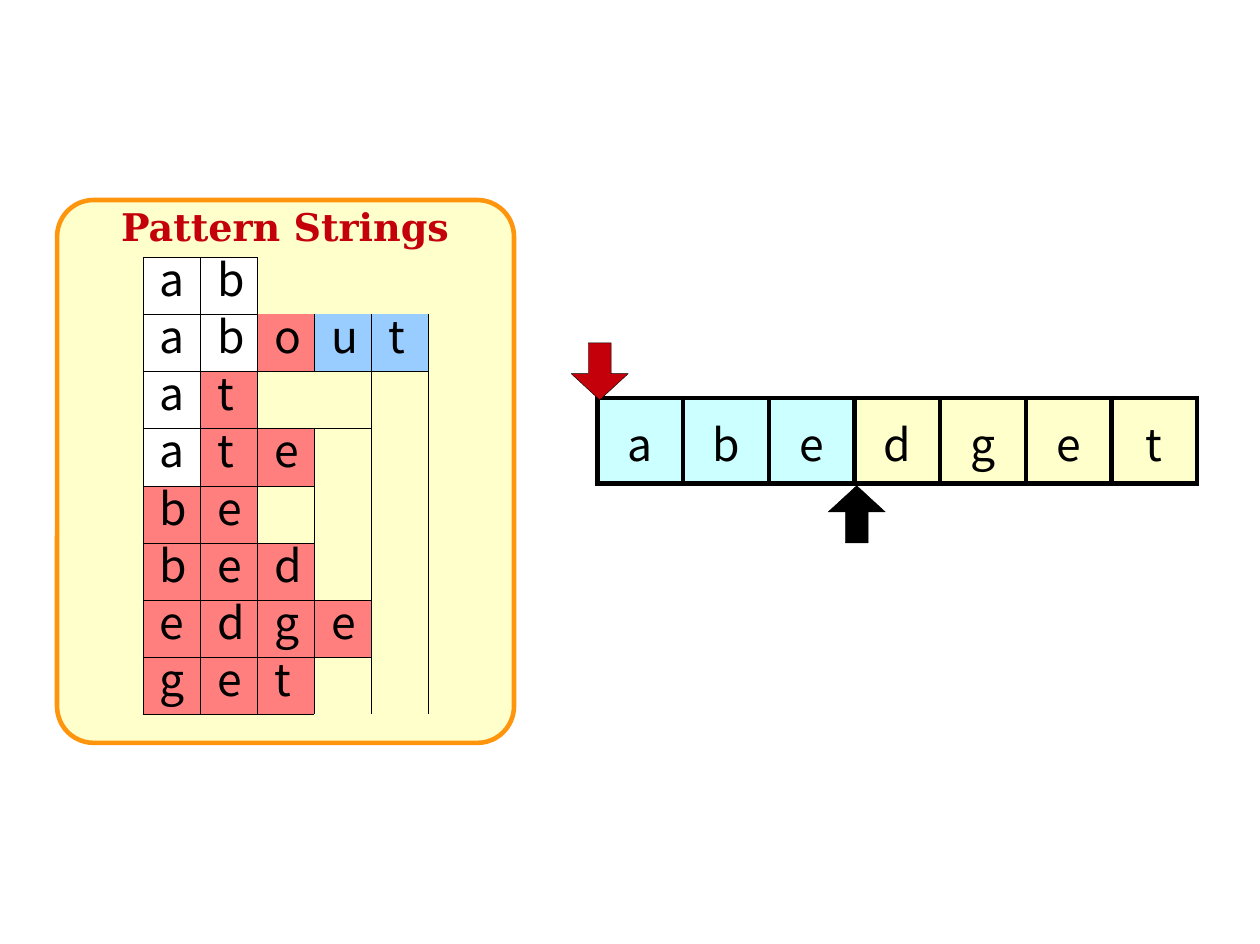
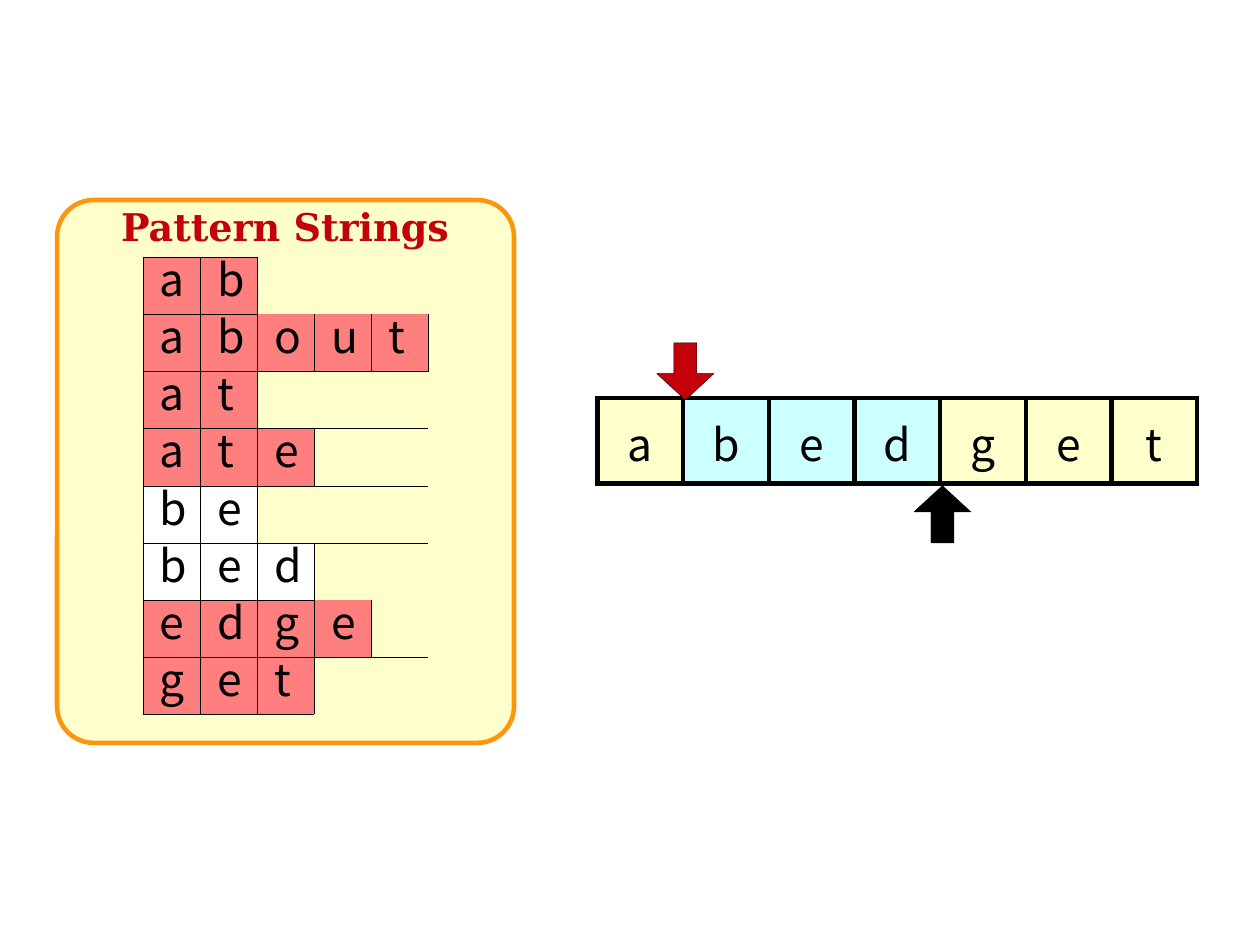
"""Build two slides that match a text against a table of pattern strings."""
from dataclasses import dataclass
from typing import NamedTuple

from lxml import etree
from pptx import Presentation
from pptx import util as u
from pptx.dml import color
from pptx.enum import shapes, text
from pptx.oxml import ns

LETTER_FONT = "Noto Sans CJK SC"
TITLE_FONT = "DejaVu Serif"
BLACK = "000000"
RED = "C4000A"
ORANGE = "FF940D"
CREAM = "FFFFCC"
CYAN = "CCFFFF"
STATE_FILLS = {"W": "FFFFFF", "R": "FF7F7F", "B": "99CCFF"}
NO_STYLE = "{2D5ABB26-0587-4C30-8999-92F81FD0307C}"
PATTERNS = ["ab", "about", "at", "ate", "be", "bed", "edge", "get"]
SEARCH_TEXT = "abedget"
STRIP_STEP = 0.75
PATTERN_STEP = 0.5


class Gap(NamedTuple):
    row: int
    column: int
    rows: int
    columns: int
    edges: str


@dataclass
class Step:
    start: int
    end: int
    states: list[str]
    gaps: list[Gap]


STEPS = [
    Step(0, 3, ["WW", "WWRBB", "WR", "WRR", "RR", "RRR", "RRRR", "RRR"], [
        Gap(0, 2, 1, 3, "L"),
        Gap(2, 2, 1, 2, "LRTB"),
        Gap(2, 4, 6, 1, "LT"),
        Gap(3, 3, 1, 1, "LR"),
        Gap(4, 2, 1, 1, "LRTB"),
        Gap(4, 3, 1, 1, "LR"),
        Gap(5, 3, 1, 1, "LRB"),
        Gap(7, 3, 1, 1, "LRT"),
    ]),
    Step(1, 4, ["RR", "RRRRR", "RR", "RRR", "WW", "WWW", "RRRR", "RRR"], [
        Gap(0, 2, 1, 3, "L"),
        Gap(2, 2, 1, 3, "LTB"),
        Gap(3, 3, 1, 2, "L"),
        Gap(4, 2, 1, 3, "LTB"),
        Gap(5, 3, 1, 2, "L"),
        Gap(6, 4, 1, 1, "L"),
        Gap(7, 3, 1, 2, "LT"),
    ]),
]


def rgb(value: str) -> color.RGBColor:
    """Turn a hex string into a colour."""
    return color.RGBColor.from_string(value)


def set_font(paragraph, name: str, size: float, value: str, bold: bool = False) -> None:
    """Set the font of a whole paragraph."""
    paragraph.font.name = name
    paragraph.font.size = u.Pt(size)
    paragraph.font.bold = bold
    paragraph.font.color.rgb = rgb(value)


def add_preset(slide, kind, left: float, top: float, width: float, height: float,
               fill: str, line: str, weight: float, adjustments: list[float]) -> None:
    """Draw a filled and outlined preset shape."""
    shape = slide.shapes.add_shape(kind, u.Inches(left), u.Inches(top),
                                   u.Inches(width), u.Inches(height))
    shape.shadow.inherit = False
    shape.fill.solid()
    shape.fill.fore_color.rgb = rgb(fill)
    shape.line.color.rgb = rgb(line)
    shape.line.width = u.Pt(weight)
    for index, value in enumerate(adjustments):
        shape.adjustments[index] = value


def add_grid(slide, rows: int, columns: int, left: float, top: float, step: float):
    """Add an unstyled table of square cells."""
    frame = slide.shapes.add_table(rows, columns, u.Inches(left), u.Inches(top),
                                   u.Inches(columns * step), u.Inches(rows * step))
    table = frame.table
    table.first_row = table.horz_banding = False
    frame._element.find(".//" + ns.qn("a:tableStyleId")).text = NO_STYLE
    for track in table.columns:
        track.width = u.Inches(step)
    for track in table.rows:
        track.height = u.Inches(step)
    for cell in table.iter_cells():
        cell.margin_left = cell.margin_right = cell.margin_top = cell.margin_bottom = 0
    return table


def set_borders(cell, edges: str, weight: float) -> None:
    """Draw black lines on the named edges of a cell."""
    properties = cell._tc.get_or_add_tcPr()
    for edge in edges:
        line = etree.SubElement(properties, ns.qn(f"a:ln{edge}"), w=str(u.Pt(weight)))
        fill = etree.SubElement(line, ns.qn("a:solidFill"))
        etree.SubElement(fill, ns.qn("a:srgbClr"), val=BLACK)


def fill_cell(cell, letter: str, fill: str, edges: str, weight: float):
    """Put a letter in a bordered cell and return its paragraph."""
    set_borders(cell, edges, weight)
    cell.fill.solid()
    cell.fill.fore_color.rgb = rgb(fill)
    paragraph = cell.text_frame.paragraphs[0]
    paragraph.text = letter
    set_font(paragraph, LETTER_FONT, 28, BLACK)
    return paragraph


def add_title(slide) -> None:
    """Add the panel heading."""
    box = slide.shapes.add_textbox(u.Inches(1.06), u.Inches(1.77), u.Inches(2.88), u.Inches(0.43))
    frame = box.text_frame
    frame.margin_left = frame.margin_right = frame.margin_bottom = 0
    frame.margin_top = u.Inches(0.01)
    frame.word_wrap = False
    paragraph = frame.paragraphs[0]
    paragraph.text = "Pattern Strings"
    set_font(paragraph, TITLE_FONT, 24, RED, bold=True)


def add_strip(slide, step: Step) -> None:
    """Add the searched text with its current window highlighted."""
    table = add_grid(slide, 1, len(SEARCH_TEXT), 5.23, 3.48, STRIP_STEP)
    for index, letter in enumerate(SEARCH_TEXT):
        cell = table.cell(0, index)
        cell.margin_top = u.Inches(0.11)
        fill = CYAN if step.start <= index < step.end else CREAM
        paragraph = fill_cell(cell, letter, fill, "LRTB", 3)
        paragraph.alignment = text.PP_ALIGN.CENTER


def add_gap(table, gap: Gap) -> set[tuple[int, int]]:
    """Draw an empty region and return the cells whose lower edge stays open."""
    last_row = gap.row + gap.rows - 1
    last_column = gap.column + gap.columns - 1
    for row in range(gap.row, last_row + 1):
        for column in range(gap.column, last_column + 1):
            outer = {"L": column == gap.column, "R": column == last_column,
                     "T": row == gap.row, "B": row == last_row}
            cell = table.cell(row, column)
            set_borders(cell, "".join(edge for edge in gap.edges if outer[edge]), 0.25)
            cell.fill.background()
    if gap.rows * gap.columns > 1:
        table.cell(gap.row, gap.column).merge(table.cell(last_row, last_column))
    if "B" in gap.edges:
        return set()
    return {(last_row, column) for column in range(gap.column, last_column + 1)}


def add_patterns(slide, step: Step) -> None:
    """Add the pattern strings coloured by match state."""
    table = add_grid(slide, len(PATTERNS), max(map(len, PATTERNS)), 1.25, 2.25, PATTERN_STEP)
    open_cells = set().union(*(add_gap(table, gap) for gap in step.gaps))
    for row, (pattern, states) in enumerate(zip(PATTERNS, step.states)):
        for column, (letter, state) in enumerate(zip(pattern, states)):
            edges = "LRB" if (row - 1, column) in open_cells else "LRTB"
            cell = table.cell(row, column)
            cell.margin_left = u.Inches(0.15)
            paragraph = fill_cell(cell, letter, STATE_FILLS[state], edges, 0.25)
            paragraph.line_spacing = u.Pt(32.8)


def add_pointers(slide, step: Step) -> None:
    """Mark the start and the end of the window."""
    kinds = shapes.MSO_SHAPE
    for kind, index, top, fill in ((kinds.DOWN_ARROW, step.start, 3, RED),
                                   (kinds.UP_ARROW, step.end, 4.25, BLACK)):
        add_preset(slide, kind, 5 + index * STRIP_STEP, top, 0.5, 0.5, fill, BLACK, 0.25,
                   [0.4, 0.46])


def main() -> None:
    """Build and save the presentation."""
    presentation = Presentation()
    presentation.slide_width = u.Inches(11.03)
    presentation.slide_height = u.Inches(8.26)
    for step in STEPS:
        slide = presentation.slides.add_slide(presentation.slide_layouts[6])
        add_preset(slide, shapes.MSO_SHAPE.ROUNDED_RECTANGLE, 0.5, 1.75, 4, 4.75,
                   CREAM, ORANGE, 2.89, [0.08])
        add_title(slide)
        add_strip(slide, step)
        add_patterns(slide, step)
        add_pointers(slide, step)
    presentation.save("out.pptx")


if __name__ == "__main__":
    main()
